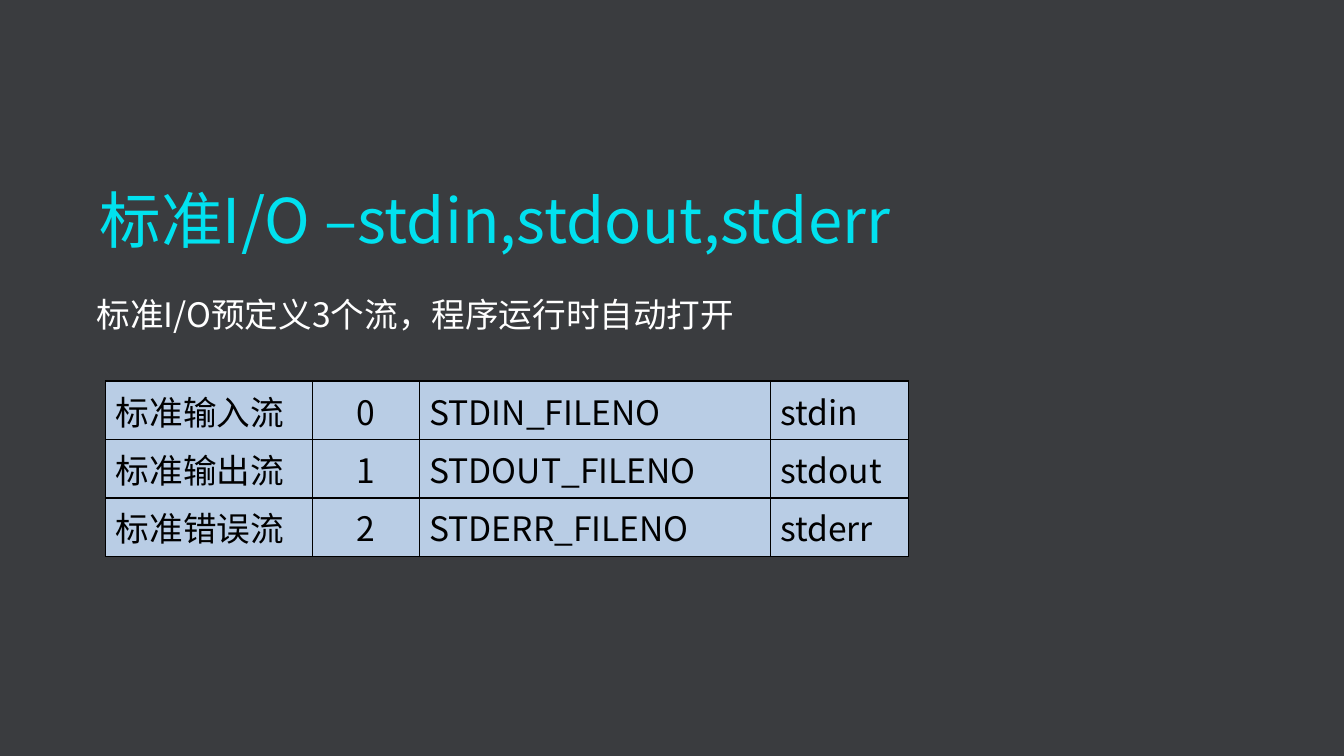
import pptx
import pptx.dml.color
import pptx.enum.text
import pptx.oxml
import pptx.oxml.ns
import pptx.util
from lxml import etree

Inches = pptx.util.Inches
RGB = pptx.dml.color.RGBColor.from_string
ALIGN = pptx.enum.text.PP_ALIGN
MIDDLE = pptx.enum.text.MSO_ANCHOR.MIDDLE
qn = pptx.oxml.ns.qn
FONT = "Noto Sans CJK SC"
COLORS = {"back": "3A3C3F", "title": "01E1EF", "body": "FFFFFF",
          "cell": "B9CDE5", "ink": "000000"}


def write(frame, text, size, color, **format):
    para = frame.paragraphs[0]
    for name, value in format.items():
        setattr(para, name, value)
    run = para.add_run()
    run.text = text
    run.font.size = pptx.util.Pt(size)
    run.font.color.rgb = RGB(COLORS[color])
    run.font.name = FONT
    etree.SubElement(run.font._element, qn("a:ea"), typeface=FONT)


def border(cell):
    """Draw a 1 pt line on all four sides; call before the cell is filled."""
    props = cell._tc.get_or_add_tcPr()
    for side in ("lnL", "lnR", "lnT", "lnB"):
        line = etree.SubElement(props, qn("a:" + side), w="12700")
        fill = etree.SubElement(line, qn("a:solidFill"))
        etree.SubElement(fill, qn("a:srgbClr"), val=COLORS["ink"])


deck = pptx.Presentation()
deck.slide_width, deck.slide_height = Inches(13.33), Inches(7.5)
slide = deck.slides.add_slide(deck.slide_layouts[6])
slide.background.fill.solid()
slide.background.fill.fore_color.rgb = RGB(COLORS["back"])

texts = [
    ("标准I/O –stdin,stdout,stderr", 44, "title", (0.89, 1.86, 11.34, 0.8)),
    ("标准I/O预定义3个流，程序运行时自动打开", 24, "body", (0.86, 2.93, 8.6, 0.55)),
]
for text, size, color, place in texts:
    frame = slide.shapes.add_textbox(*map(Inches, place)).text_frame
    frame.word_wrap = True
    frame.margin_top = Inches(0.03)
    write(frame, text, size, color, line_spacing=0.9)

streams = [
    ("标准输入流", "0", "STDIN_FILENO", "stdin"),
    ("标准输出流", "1", "STDOUT_FILENO", "stdout"),
    ("标准错误流", "2", "STDERR_FILENO", "stderr"),
]
widths = [2.05, 1.06, 3.48, 1.37]
high = 0.58
table = slide.shapes.add_table(
    len(streams), len(widths), Inches(1.05), Inches(3.78),
    Inches(sum(widths)), Inches(high * len(streams))).table
table.first_row = table.horz_banding = False
for col, width in zip(table.columns, widths):
    col.width = Inches(width)
for row, stream in enumerate(streams):
    table.rows[row].height = Inches(high)
    for col, text in enumerate(stream):
        cell = table.cell(row, col)
        border(cell)
        cell.fill.solid()
        cell.fill.fore_color.rgb = RGB(COLORS["cell"])
        cell.vertical_anchor = MIDDLE
        write(cell.text_frame, text, 24, "ink",
              alignment=ALIGN.CENTER if col == 1 else ALIGN.LEFT)

deck.save("out.pptx")
